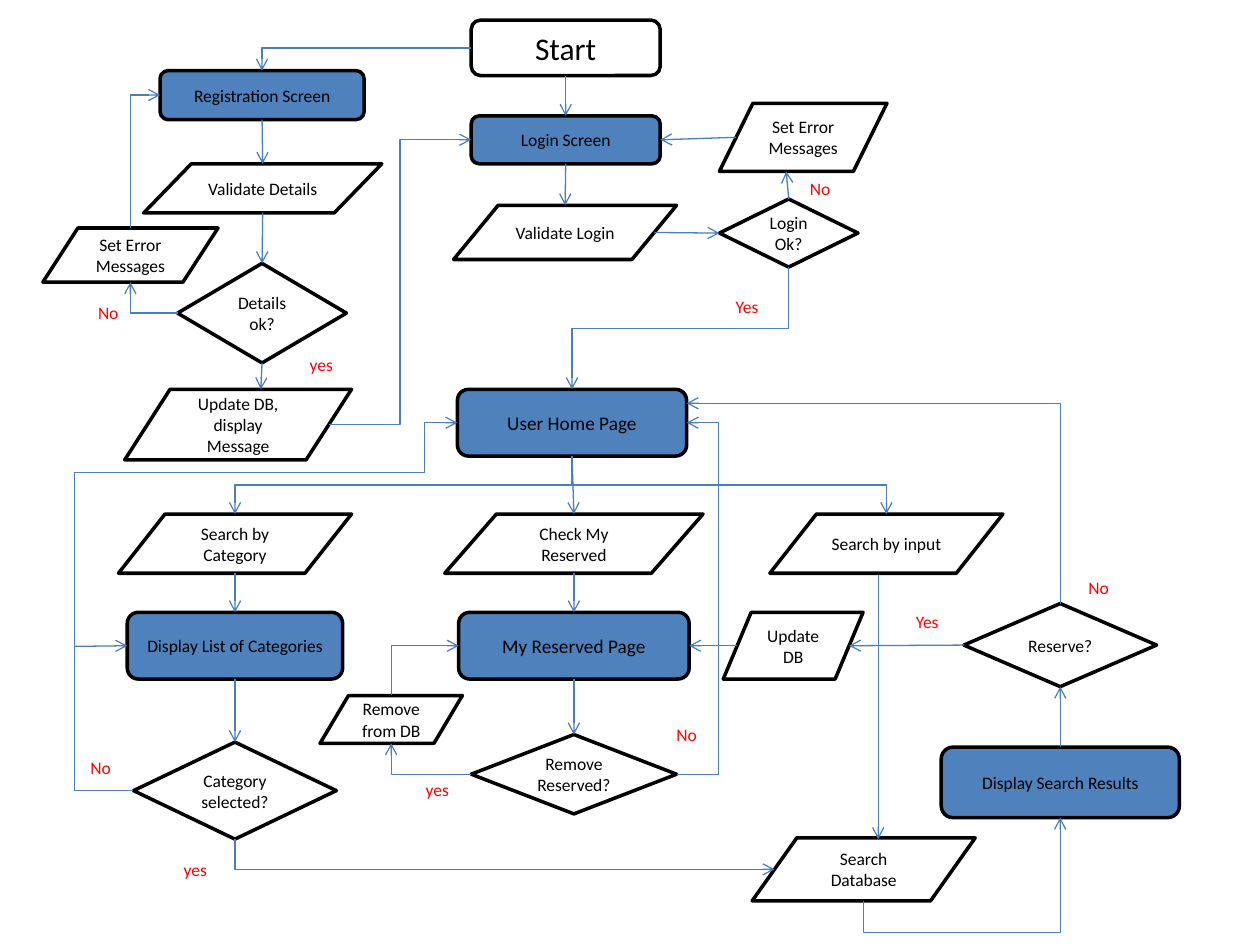
"""Build the flowchart of a reservation site with python-pptx."""
import pptx
import pptx.dml.color
import pptx.enum.shapes
import pptx.enum.text
import pptx.oxml.ns
import pptx.util
from lxml import etree

RGBColor = pptx.dml.color.RGBColor
SHAPE = pptx.enum.shapes.MSO_SHAPE
CONNECTOR = pptx.enum.shapes.MSO_CONNECTOR
Pt = pptx.util.Pt
qn = pptx.oxml.ns.qn

WHITE = RGBColor(0xFF, 0xFF, 0xFF)
BLACK = RGBColor(0x00, 0x00, 0x00)
RED = RGBColor(0xFF, 0x00, 0x00)
BLUE = RGBColor(0x4F, 0x81, 0xBD)
LINE_BLUE = RGBColor(0x4B, 0x7E, 0xBC)

STYLES = {
    "start": (SHAPE.ROUNDED_RECTANGLE, WHITE, 18),
    "page": (SHAPE.ROUNDED_RECTANGLE, BLUE, 10),
    "main page": (SHAPE.ROUNDED_RECTANGLE, BLUE, 11),
    "form": (SHAPE.FLOWCHART_ALTERNATE_PROCESS, BLUE, 10),
    "data": (SHAPE.FLOWCHART_DATA, WHITE, 10),
    "decision": (SHAPE.FLOWCHART_DECISION, WHITE, 10),
}

NODES = {
    "start": ("start", "Start", 3.74, 0.16, 1.5, 0.44),
    "register": ("form", "Registration Screen", 1.27, 0.56, 1.62, 0.39),
    "validate": ("data", "Validate Details", 1.14, 1.3, 1.89, 0.39),
    "details ok": ("decision", "Details ok?", 1.41, 2.09, 1.34, 0.79),
    "details error": ("data", "Set Error Messages", 0.34, 1.81, 1.39, 0.43),
    "save": ("data", "Update DB, display Message", 0.99, 3.09, 1.8, 0.56),
    "login": ("page", "Login Screen", 3.74, 0.92, 1.5, 0.38),
    "check login": ("data", "Validate Login", 3.6, 1.63, 1.77, 0.43),
    "login ok": ("decision", "Login Ok?", 5.71, 1.58, 1.1, 0.54),
    "login error": ("data", "Set Error Messages", 5.71, 0.82, 1.33, 0.54),
    "home": ("main page", "User Home Page", 3.63, 3.09, 1.82, 0.53),
    "by category": ("data", "Search by Category", 0.94, 4.08, 1.85, 0.47),
    "my reserved": ("data", "Check My Reserved", 3.53, 4.08, 2.05, 0.47),
    "by input": ("data", "Search by input", 6.11, 4.08, 1.85, 0.47),
    "categories": ("page", "Display List of Categories", 1.01, 4.86, 1.71, 0.53),
    "reserved": ("main page", "My Reserved Page", 3.64, 4.86, 1.83, 0.53),
    "update": ("data", "Update DB", 5.74, 4.86, 1.11, 0.53),
    "reserve": ("decision", "Reserve?", 7.65, 4.79, 1.53, 0.66),
    "remove": ("data", "Remove from DB", 2.54, 5.52, 1.13, 0.38),
    "selected": ("decision", "Category selected?", 1.06, 5.89, 1.61, 0.77),
    "remove?": ("decision", "Remove Reserved?", 3.74, 5.83, 1.63, 0.63),
    "results": ("page", "Display Search Results", 7.47, 5.93, 1.89, 0.56),
    "database": ("data", "Search Database", 5.97, 6.65, 1.77, 0.5),
}

FILLED_LABELS = [
    ("yes", 2.36, 2.76), ("No", 0.68, 2.35), ("yes", 3.28, 6.13),
    ("No", 5.27, 5.7), ("yes", 1.36, 6.77), ("No", 0.62, 5.96),
]
OPEN_LABELS = [
    ("No", 6.33, 1.36), ("Yes", 5.74, 2.3), ("Yes", 7.17, 4.8), ("No", 8.54, 4.53),
]

STRAIGHT_ARROWS = [
    (("register", "bottom"), ("validate", "top")),
    (("validate", "bottom"), ("details ok", "top")),
    (("details ok", "bottom"), (2.07, 3.09)),
    (("start", "bottom"), ("login", "top")),
    (("login", "bottom"), ("check login", "top")),
    (("check login", "right"), ("login ok", "left")),
    (("login ok", "top"), (6.24, 1.36)),
    (("login error", "left"), ("login", "right")),
    (("home", "bottom"), ("my reserved", "top")),
    (("by category", "bottom"), ("categories", "top")),
    (("categories", "bottom"), ("selected", "top")),
    (("my reserved", "bottom"), ("reserved", "top")),
    (("reserved", "bottom"), ("remove?", "top")),
    (("update", "left"), ("reserved", "right")),
    (("reserve", "left"), ("update", "right")),
    (("results", "top"), ("reserve", "bottom")),
    ((6.97, 4.56), (6.97, 6.66)),
    ((0.59, 5.13), ("categories", "left")),
]

ELBOW_ARROWS = [
    (("start", "left"), ("register", "top"), "HV"),
    (("details ok", "left"), ("details error", "bottom"), "HV"),
    (("details error", "top"), ("register", "left"), "VH"),
    (("save", "right"), ("login", "left"), "HVH"),
    (("login ok", "bottom"), ("home", "top"), "VHV"),
    (("home", "bottom"), ("by input", "top"), "VHV"),
    (("home", "bottom"), ("by category", "top"), "VHV"),
    (("remove?", "right"), ("home", "right"), "HVH", 5.7),
    (("remove?", "left"), ("remove", "bottom"), "HV"),
    (("remove", "top"), ("reserved", "left"), "VH"),
    (("selected", "bottom"), ("database", "left"), "VH"),
    (("database", "bottom"), ("results", "bottom"), "VHV", 7.4),
    (("reserve", "top"), (5.45, 3.2), "VH"),
    ((3.37, 3.75), ("home", "left"), "VH"),
]


def cm(inches):
    """Turn inches into a length in centimetres."""
    return pptx.util.Cm(inches * 2.54)


def write(tf, text, size, color):
    """Write one formatted paragraph."""
    p = tf.paragraphs[0]
    p.text = text
    p.font.name = "Calibri"
    p.font.size = Pt(size)
    p.font.color.rgb = color
    return p


def add_node(slide, style, text, *box):
    """Add one outlined flowchart step."""
    kind, fill, size = STYLES[style]
    sp = slide.shapes.add_shape(kind, *map(cm, box))
    sp.shadow.inherit = False
    sp.fill.solid()
    sp.fill.fore_color.rgb = fill
    sp.line.color.rgb = BLACK
    sp.line.width = Pt(2)
    tf = sp.text_frame
    tf.word_wrap = True
    tf.vertical_anchor = pptx.enum.text.MSO_ANCHOR.MIDDLE
    write(tf, text, size, BLACK).alignment = pptx.enum.text.PP_ALIGN.CENTER


def add_label(slide, text, left, top, filled):
    """Add a red yes or no beside an arrow."""
    width = 0.37 if filled and text == "No" else 0.39
    sp = slide.shapes.add_textbox(*map(cm, (left, top, width, 0.27)))
    if filled:
        sp.fill.solid()
        sp.fill.fore_color.rgb = WHITE
    tf = sp.text_frame
    tf.word_wrap = not filled
    tf.auto_size = pptx.enum.text.MSO_AUTO_SIZE.SHAPE_TO_FIT_TEXT
    write(tf, text, 10, RED)


def locate(end):
    """Find the point of a (node, side) pair, or pass a point through."""
    if end[0] not in NODES:
        return end
    style, _, left, top, width, height = NODES[end[0]]
    inset = width / 10 if style == "data" else 0
    return {
        "top": (left + width / 2, top),
        "bottom": (left + width / 2, top + height),
        "left": (left + inset, top + height / 2),
        "right": (left + width - inset, top + height / 2),
    }[end[1]]


def style_line(cxn, arrow):
    """Give a connector its colour, width and optional arrowhead."""
    cxn.line.color.rgb = LINE_BLUE
    cxn.line.width = Pt(0.75)
    spPr = cxn._element.spPr
    if arrow:
        etree.SubElement(spPr.find(qn("a:ln")), qn("a:tailEnd"), type="arrow")
    etree.SubElement(spPr, qn("a:effectLst"))


def add_straight(slide, start, end, arrow=True):
    """Add a straight connector."""
    points = locate(start) + locate(end)
    cxn = slide.shapes.add_connector(CONNECTOR.STRAIGHT, *map(cm, points))
    style_line(cxn, arrow)


def add_elbow(slide, start, end, route, bend=None, arrow=True):
    """Add an elbow whose route lists its horizontal and vertical legs."""
    x1, y1 = locate(start)
    x2, y2 = locate(end)
    points = (x1, y1, x2, y2)
    vertical = route[0] == "V"
    if vertical:
        cx, cy = (x1 + x2) / 2, (y1 + y2) / 2
        dx, dy = (x2 - x1) / 2, (y2 - y1) / 2
        points = (cx - dy, cy + dx, cx + dy, cy - dx)
    cxn = slide.shapes.add_connector(CONNECTOR.ELBOW, *map(cm, points))
    spPr = cxn._element.spPr
    if vertical:
        spPr.find(qn("a:xfrm")).set("rot", "5400000")
    geom = spPr.find(qn("a:prstGeom"))
    geom.set("prst", f"bentConnector{len(route)}")
    if bend is not None:
        first, last = (y1, y2) if vertical else (x1, x2)
        share = round((bend - first) / (last - first) * 100000)
        etree.SubElement(geom.find(qn("a:avLst")), qn("a:gd"), name="adj1", fmla=f"val {share}")
    style_line(cxn, arrow)


def main():
    """Build and save the slide."""
    prs = pptx.Presentation()
    prs.slide_width, prs.slide_height = cm(10), cm(7.5)
    slide = prs.slides.add_slide(prs.slide_layouts[6])
    for node in NODES.values():
        add_node(slide, *node)
    for labels, filled in ((FILLED_LABELS, True), (OPEN_LABELS, False)):
        for label in labels:
            add_label(slide, *label, filled)
    for ends in STRAIGHT_ARROWS:
        add_straight(slide, *ends)
    for elbow in ELBOW_ARROWS:
        add_elbow(slide, *elbow)
    add_elbow(slide, ("selected", "left"), (0.59, 3.75), "HV", arrow=False)
    add_straight(slide, (0.59, 3.75), (3.37, 3.75), arrow=False)
    prs.save("out.pptx")


main()
